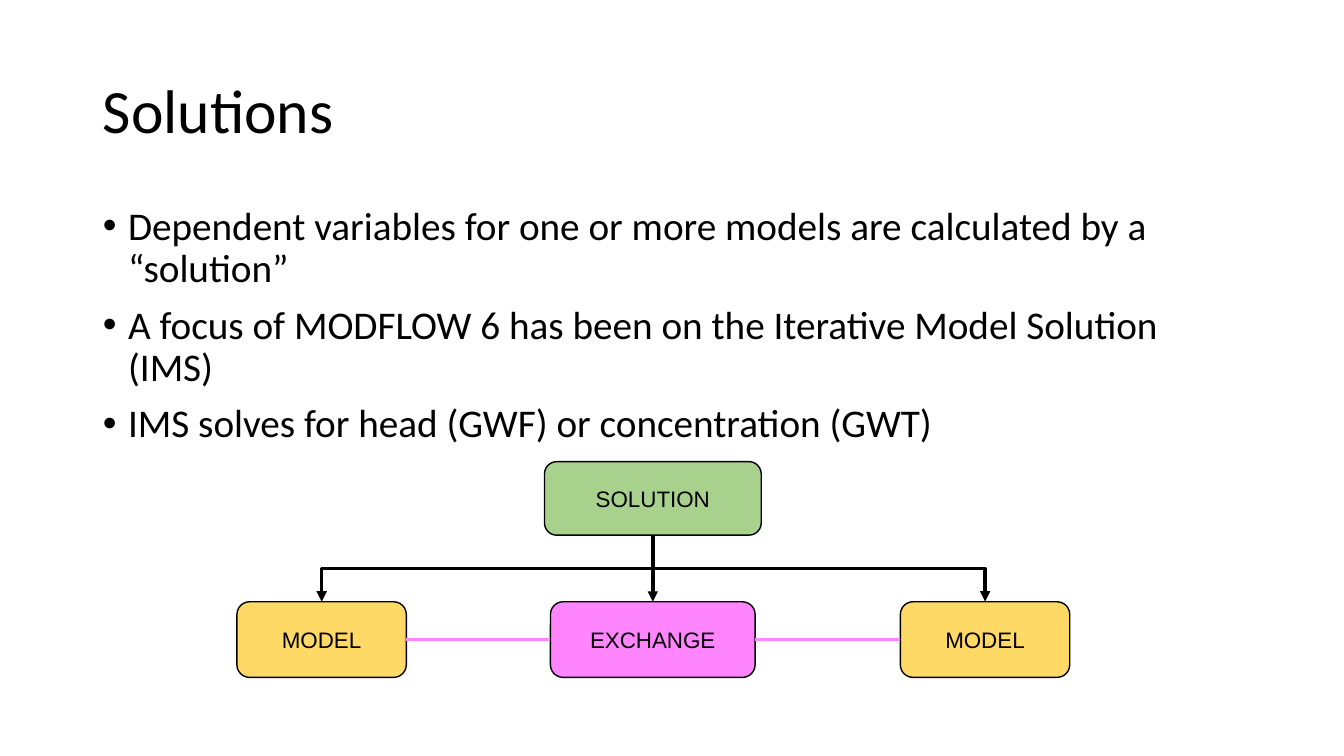
from lxml import etree
from pptx import Presentation
from pptx.dml.color import RGBColor
from pptx.enum.shapes import MSO_CONNECTOR as Connector, MSO_SHAPE as Shape
from pptx.enum.text import MSO_ANCHOR as Anchor, MSO_AUTO_SIZE as AutoSize, PP_ALIGN as Align
from pptx.oxml.ns import qn
from pptx.util import Inches, Pt

COLORS = {"black": "000000", "green": "A9D18E", "yellow": "FFD966", "pink": "FF85FF"}


def add_run(paragraph, text, size, font_name):
    run = paragraph.add_run()
    run.text = text
    run.font.size = Pt(size)
    run.font.name = font_name
    run.font.color.rgb = RGBColor.from_string(COLORS["black"])


def style_connector(connector, color, arrow=False):
    connector.line.color.rgb = RGBColor.from_string(COLORS[color])
    connector.line.width = Pt(2.5)
    properties = connector._element.spPr
    if arrow:
        etree.SubElement(properties.find(qn("a:ln")), qn("a:tailEnd"), type="triangle")
    etree.SubElement(properties, qn("a:effectLst"))


presentation = Presentation()
presentation.slide_width = Inches(13.33)
presentation.slide_height = Inches(7.5)
slide = presentation.slides.add_slide(presentation.slide_layouts[1])

title = slide.shapes.title
body = slide.placeholders[1]
for placeholder, top, height, anchor in [
    (title, 0.4, 1.45, Anchor.MIDDLE),
    (body, 2, 4.76, Anchor.TOP),
]:
    placeholder.left, placeholder.top = Inches(0.92), Inches(top)
    placeholder.width, placeholder.height = Inches(11.5), Inches(height)
    placeholder.text_frame.word_wrap = True
    placeholder.text_frame.auto_size = AutoSize.NONE
    placeholder.text_frame.vertical_anchor = anchor

heading = title.text_frame.paragraphs[0]
heading.alignment = Align.LEFT
heading.line_spacing = 0.9
add_run(heading, "Solutions", 44, "Calibri")

bullets = [
    "Dependent variables for one or more models are calculated by a “solution”",
    "A focus of MODFLOW 6 has been on the Iterative Model Solution (IMS)",
    "IMS solves for head (GWF) or concentration (GWT)",
]
for index, text in enumerate(bullets):
    paragraph = body.text_frame.paragraphs[0] if index == 0 else body.text_frame.add_paragraph()
    properties = paragraph._p.get_or_add_pPr()
    properties.set("marL", str(Inches(0.25)))
    properties.set("indent", str(Inches(-0.25)))
    etree.SubElement(properties, qn("a:buFont"), typeface="Arial")
    etree.SubElement(properties, qn("a:buChar"), char="•")
    paragraph.line_spacing = 0.9
    paragraph.space_before = Pt(10 if index else 0)
    add_run(paragraph, text, 28, "Calibri")

boxes = []
for label, left, top, width, height, color in [
    ("MODEL", 2.35, 5.97, 1.68, 0.75, "yellow"),
    ("EXCHANGE", 5.46, 5.97, 2.03, 0.75, "pink"),
    ("MODEL", 8.93, 5.97, 1.68, 0.75, "yellow"),
    ("SOLUTION", 5.4, 4.58, 2.15, 0.73, "green"),
]:
    box = slide.shapes.add_shape(
        Shape.ROUNDED_RECTANGLE, Inches(left), Inches(top), Inches(width), Inches(height)
    )
    box.shadow.inherit = False
    box.fill.solid()
    box.fill.fore_color.rgb = RGBColor.from_string(COLORS[color])
    box.line.color.rgb = RGBColor.from_string(COLORS["black"])
    box.line.width = Pt(1)
    box.text_frame.vertical_anchor = Anchor.MIDDLE
    paragraph = box.text_frame.paragraphs[0]
    paragraph.alignment = Align.CENTER
    add_run(paragraph, label, 16, "Arial")
    boxes.append(box)
left_model, exchange, right_model, solution = boxes

for start, start_side, end, end_side, color, arrow in [
    (left_model, 3, exchange, 1, "pink", False),
    (exchange, 3, right_model, 1, "pink", False),
    (solution, 2, exchange, 0, "black", True),
]:
    connector = slide.shapes.add_connector(Connector.STRAIGHT, 0, 0, 0, 0)
    connector.begin_connect(start, start_side)
    connector.end_connect(end, end_side)
    style_connector(connector, color, arrow)

start_x = solution.left + solution.width // 2
start_y = solution.top + solution.height
for model, direction, rotation in [(left_model, 1, 90), (right_model, -1, 270)]:
    end_x = model.left + model.width // 2
    drop, span = model.top - start_y, abs(end_x - start_x)
    center_x, center_y = (start_x + end_x) // 2, start_y + drop // 2
    half_drop = direction * drop // 2
    connector = slide.shapes.add_connector(
        Connector.ELBOW,
        center_x - half_drop, center_y - span // 2,
        center_x + half_drop, center_y + span // 2,
    )
    connector._element.spPr.find(qn("a:xfrm")).set("rot", str(rotation * 60000))
    style_connector(connector, "black", True)

presentation.save("out.pptx")
